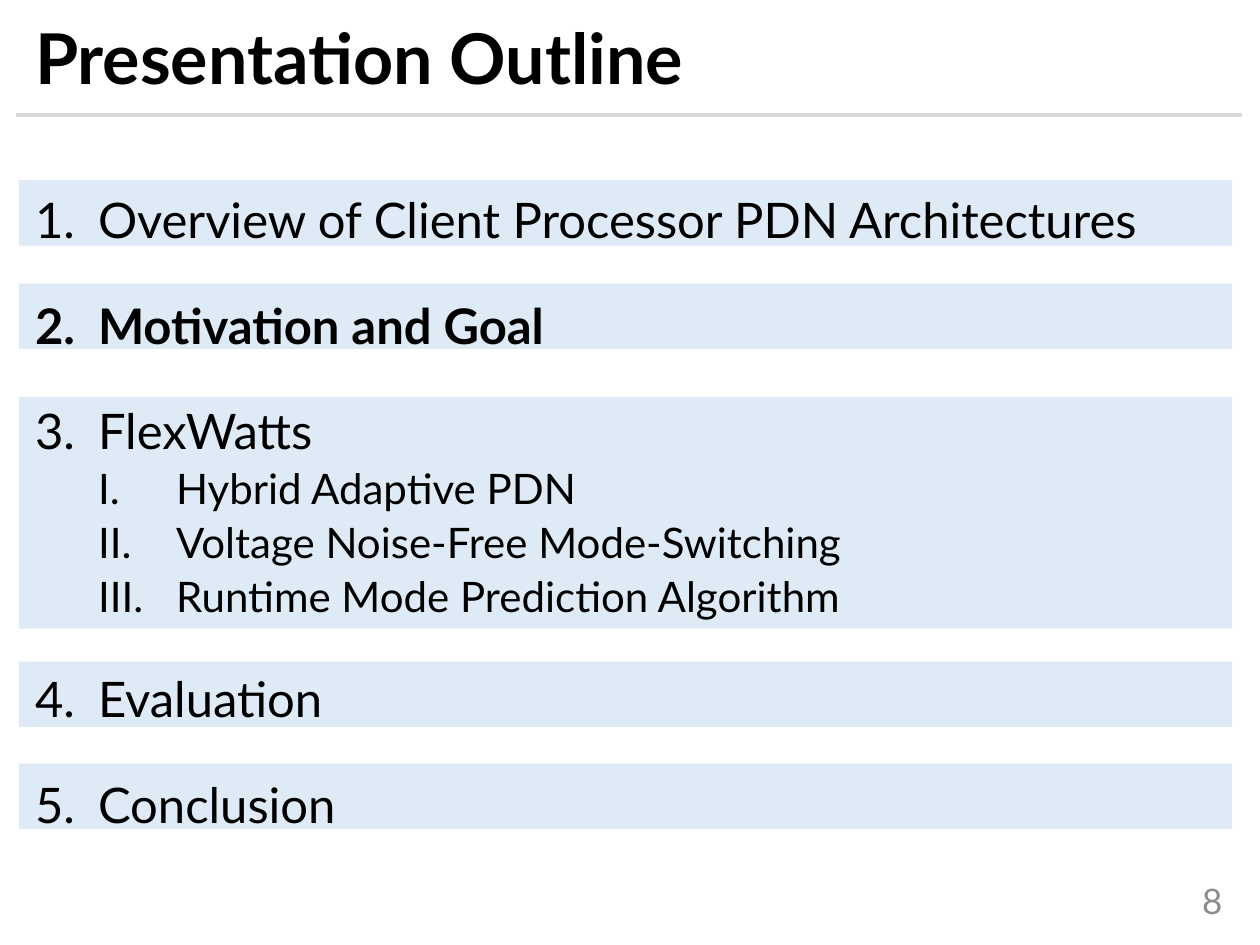
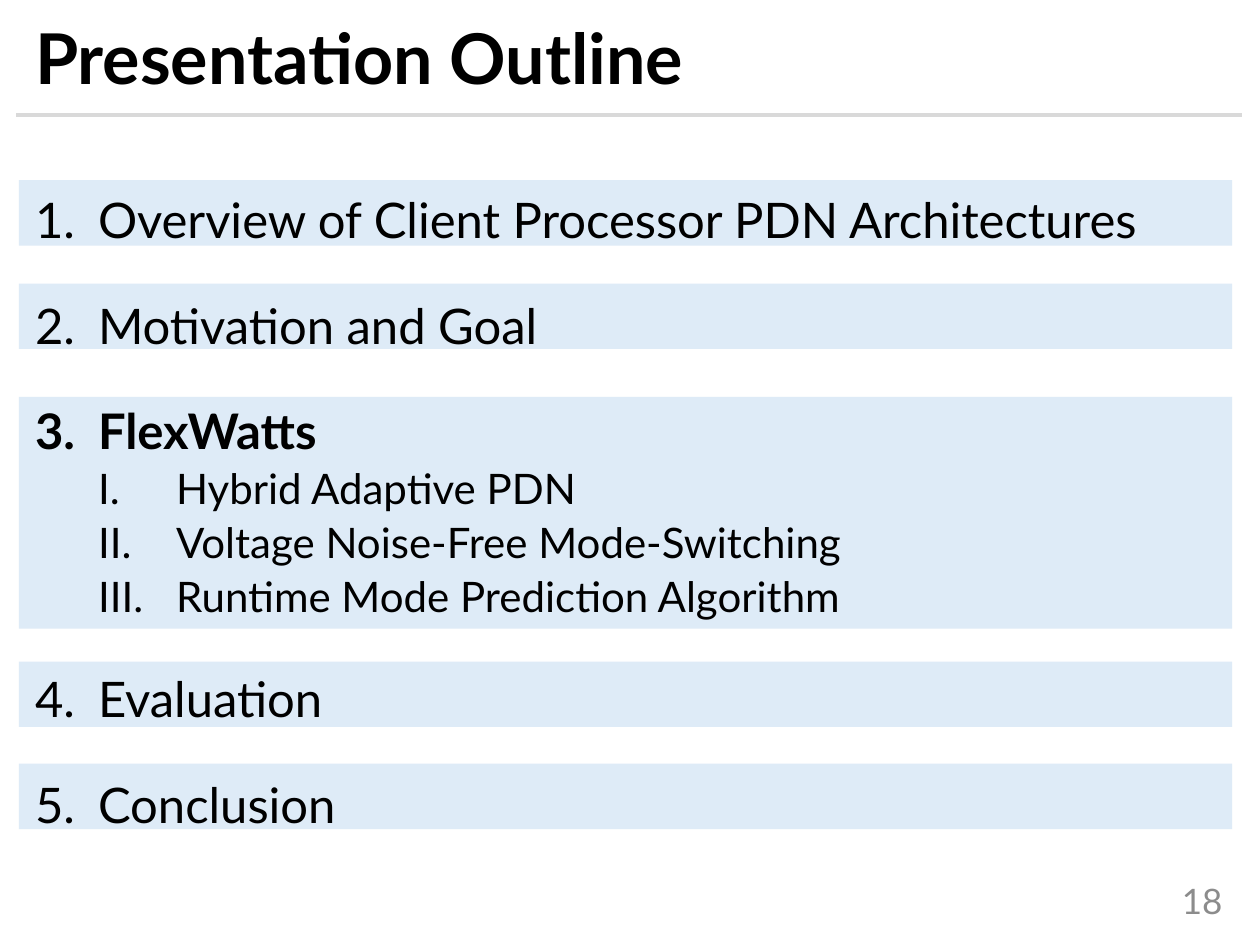
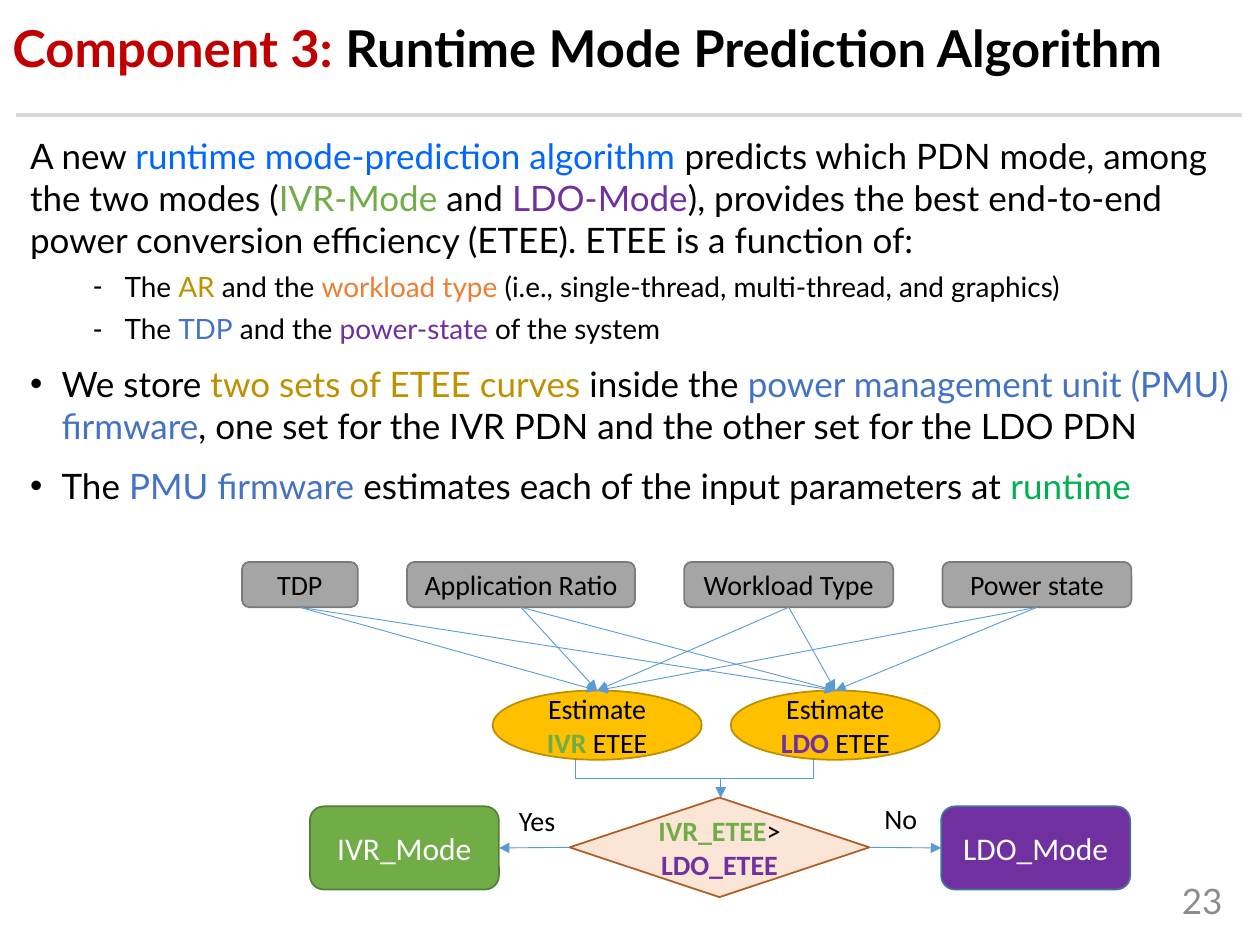
"""Build two outline slides and the runtime mode prediction slide."""
from lxml import etree
from pptx import Presentation
from pptx.dml.color import RGBColor
from pptx.enum.shapes import MSO_CONNECTOR, MSO_SHAPE
from pptx.enum.text import MSO_ANCHOR, PP_ALIGN
from pptx.oxml.ns import qn
from pptx.util import Inches, Pt

STRAIGHT, ELBOW = MSO_CONNECTOR.STRAIGHT, MSO_CONNECTOR.ELBOW
RECTANGLE, ROUNDED = MSO_SHAPE.RECTANGLE, MSO_SHAPE.ROUNDED_RECTANGLE
INPUT_BOX = MSO_SHAPE.FLOWCHART_ALTERNATE_PROCESS
ELLIPSE, DIAMOND = MSO_SHAPE.FLOWCHART_CONNECTOR, MSO_SHAPE.FLOWCHART_DECISION
TOP, MIDDLE = MSO_ANCHOR.TOP, MSO_ANCHOR.MIDDLE
LEFT, CENTER, RIGHT = PP_ALIGN.LEFT, PP_ALIGN.CENTER, PP_ALIGN.RIGHT
SITE_TOP, SITE_LEFT, SITE_BOTTOM, SITE_RIGHT = range(4)

BLACK = RGBColor(0x00, 0x00, 0x00)
WHITE = RGBColor(0xFF, 0xFF, 0xFF)
PAGE_GRAY = RGBColor(0x8C, 0x8C, 0x8C)
RULE_GRAY = RGBColor(0xD9, 0xD9, 0xD9)
BAND_BLUE = RGBColor(0xDE, 0xEB, 0xF7)
RED = RGBColor(0xC0, 0x00, 0x00)
BRIGHT_BLUE = RGBColor(0x00, 0x66, 0xFF)
BLUE = RGBColor(0x44, 0x72, 0xC4)
ARROW_BLUE = RGBColor(0x5B, 0x9B, 0xD5)
EDGE_BLUE = RGBColor(0x43, 0x73, 0x9E)
GREEN = RGBColor(0x70, 0xAD, 0x47)
DARK_GREEN = RGBColor(0x53, 0x80, 0x35)
RUNTIME_GREEN = RGBColor(0x00, 0xB0, 0x50)
PURPLE = RGBColor(0x70, 0x30, 0xA0)
GOLD = RGBColor(0xBF, 0x90, 0x00)
ORANGE = RGBColor(0xED, 0x7D, 0x31)
GRAY = RGBColor(0xA5, 0xA5, 0xA5)
DARK_GRAY = RGBColor(0x7A, 0x7A, 0x7A)
AMBER = RGBColor(0xFF, 0xC0, 0x00)
DARK_AMBER = RGBColor(0xBD, 0x8E, 0x00)
PEACH = RGBColor(0xFB, 0xE5, 0xD6)
BROWN = RGBColor(0xAF, 0x5C, 0x24)
SLIDE_FONT, DIAGRAM_FONT = "Lato", "Calibri"

ARABIC = ("buAutoNum", {"type": "arabicPeriod"})
ROMAN = ("buAutoNum", {"type": "romanUcPeriod"})
DASH = ("buChar", {"char": "-"})
DOT = ("buChar", {"char": "•"})

CHAPTERS = [
    ("Overview of Client Processor PDN Architectures", []),
    ("Motivation and Goal", []),
    ("FlexWatts", ["Hybrid Adaptive PDN", "Voltage Noise-Free Mode-Switching",
                   "Runtime Mode Prediction Algorithm"]),
    ("Evaluation", []),
    ("Conclusion", []),
]
BANDS = [(1.43, 0.52), (2.25, 0.52), (3.15, 1.84), (5.25, 0.52), (6.06, 0.52)]
OUTLINES = [(8, "Motivation and Goal"), (18, "FlexWatts")]

CHAPTER = dict(size=28, bullet=ARABIC, indent=(0.5, 0.5), line_spacing=1.5, before=10)
SECTION = dict(size=24, bullet=ROMAN, indent=(1.12, 0.62), line_spacing=0.9, before=5, level=1)
LEAD = dict(size=20)
FACTOR = dict(size=16, bullet=DASH, indent=(0.75, 0.25), before=5, level=1)
POINT = dict(size=20, bullet=DOT, indent=(0.25, 0.25), before=10)

ALGORITHM_TEXT = [
    (LEAD, ["A new ", ("runtime mode-prediction algorithm ", BRIGHT_BLUE),
            "predicts which PDN mode, among the two modes (", ("IVR-Mode", GREEN), " and ",
            ("LDO-Mode", PURPLE), "), provides the best end-to-end power conversion "
            "efficiency (ETEE). ETEE is a function of:"]),
    (FACTOR, ["The ", ("AR", GOLD), " and the ", ("workload type ", ORANGE),
              "(i.e., single-thread, multi-thread, and graphics)"]),
    (FACTOR, ["The ", ("TDP", BLUE), " and the ", ("power-state", PURPLE), " of the system"]),
    (POINT, ["We store ", ("two sets of ETEE curves ", GOLD), "inside the ",
             ("power management unit (PMU) firmware", BLUE),
             ", one set for the IVR PDN and the other set for the LDO PDN"]),
    (POINT, ["The ", ("PMU firmware ", BLUE), "estimates each of the input parameters at ",
             ("runtime", RUNTIME_GREEN)]),
]
INPUTS = [("TDP", 1.92, 0.92), ("Application Ratio", 3.23, 1.81),
          ("Workload Type", 5.43, 1.66), ("Power state", 7.48, 1.5)]
ESTIMATES = [("IVR ", GREEN, 3.91), ("LDO ", PURPLE, 5.8)]
MODES = [("IVR_Mode", 2.46, GREEN, DARK_GREEN), ("LDO_Mode", 7.47, PURPLE, EDGE_BLUE)]
ANSWERS = [("Yes", (4.02, 6.33, 0.49, 0.37)), ("No", (6.92, 6.31, 0.47, 0.37))]


def add_bullet(paragraph, bullet, indent):
    tag, attributes = bullet
    margin, hanging = indent
    properties = paragraph._p.get_or_add_pPr()
    properties.set("marL", str(Inches(margin)))
    properties.set("indent", str(-Inches(hanging)))
    if tag == "buChar":
        etree.SubElement(properties, qn("a:buFont"), typeface="Arial")
    etree.SubElement(properties, qn("a:" + tag), attributes)


def write_paragraph(paragraph, runs, size, font=SLIDE_FONT, color=BLACK, bold=False, align=LEFT,
                    bullet=None, indent=None, line_spacing=None, before=0, level=0):
    paragraph.alignment = align
    paragraph.level = level
    if line_spacing:
        paragraph.line_spacing = line_spacing
    if before:
        paragraph.space_before = Pt(before)
    if bullet:
        add_bullet(paragraph, bullet, indent)
    paragraph.font.name = font
    paragraph.font.size = Pt(size)
    paragraph.font.bold = bold
    for part in runs:
        text, run_color, *emphasis = (part, color) if isinstance(part, str) else part
        run = paragraph.add_run()
        run.text = text
        run.font.color.rgb = run_color
        if emphasis:
            run.font.bold = emphasis[0]


def write_text(shape, paragraphs, anchor=TOP, wrap=True):
    frame = shape.text_frame
    frame.word_wrap = wrap
    frame.vertical_anchor = anchor
    for index, (style, runs) in enumerate(paragraphs):
        paragraph = frame.add_paragraph() if index else frame.paragraphs[0]
        write_paragraph(paragraph, runs, **(style if index else {**style, "before": 0}))


def add_text(slide, box, paragraphs, **options):
    write_text(slide.shapes.add_textbox(*map(Inches, box)), paragraphs, **options)


def add_box(slide, kind, box, fill, edge=None, runs=(), size=16, color=BLACK):
    shape = slide.shapes.add_shape(kind, *map(Inches, box))
    shape.shadow.inherit = False
    shape.fill.solid()
    shape.fill.fore_color.rgb = fill
    if edge is None:
        shape.line.fill.background()
    else:
        shape.line.color.rgb = edge
        shape.line.width = Pt(1)
    if runs:
        style = dict(size=size, font=DIAGRAM_FONT, color=color, align=CENTER)
        write_text(shape, [(style, runs)], anchor=MIDDLE)
    return shape


def add_line(slide, kind, ends, color, width, arrow=False):
    connector = slide.shapes.add_connector(kind, *map(Inches, ends))
    connector.line.color.rgb = color
    connector.line.width = Pt(width)
    properties = connector._element.spPr
    if arrow:
        etree.SubElement(properties.find(qn("a:ln")), qn("a:tailEnd"), type="triangle")
    etree.SubElement(properties, qn("a:effectLst"))
    return connector


def join(slide, source, source_site, target, target_site):
    arrow = add_line(slide, STRAIGHT, (0, 0, 1, 1), ARROW_BLUE, 0.5, arrow=True)
    arrow.begin_connect(source, source_site)
    arrow.end_connect(target, target_site)


def add_downward_elbow(slide, start_x, start_y, end_x, end_y):
    center_x, center_y = (start_x + end_x) / 2, (start_y + end_y) / 2
    half_drop, half_run = (end_y - start_y) / 2, abs(end_x - start_x) / 2
    rightward = end_x > start_x
    reach = -half_drop if rightward else half_drop
    ends = (center_x - reach, center_y - half_run, center_x + reach, center_y + half_run)
    elbow = add_line(slide, ELBOW, ends, ARROW_BLUE, 0.5, arrow=True)
    degrees = 270 if rightward else 90
    elbow._element.spPr.find(qn("a:xfrm")).set("rot", str(degrees * 60000))


def add_slide(presentation, number, title, title_box, title_size):
    slide = presentation.slides.add_slide(presentation.slide_layouts[6])
    page_style = dict(size=20, color=PAGE_GRAY, align=RIGHT)
    add_text(slide, (8.72, 6.95, 1.08, 0.4), [(page_style, [str(number)])], anchor=MIDDLE)
    add_line(slide, STRAIGHT, (0.13, 0.91, 9.86, 0.91), RULE_GRAY, 2.25)
    add_text(slide, title_box, [(dict(size=title_size, bold=True, line_spacing=0.9), title)])
    return slide


def add_outline(presentation, number, current):
    slide = add_slide(presentation, number, ["Presentation Outline"], (0.18, 0.14, 9.73, 0.66), 40)
    for top, height in BANDS:
        add_box(slide, RECTANGLE, (0.15, top, 9.63, height), BAND_BLUE)
    paragraphs = []
    for chapter, sections in CHAPTERS:
        paragraphs.append(({**CHAPTER, "bold": chapter == current}, [chapter]))
        paragraphs += [(SECTION, [section]) for section in sections]
    add_text(slide, (0.18, 1.22, 9.73, 5.67), paragraphs)


def add_algorithm(presentation):
    title = [("Component 3:", RED), " Runtime Mode Prediction Algorithm"]
    slide = add_slide(presentation, 23, title, (0, 0.14, 10, 0.66), 29)
    add_text(slide, (0.14, 1.02, 9.91, 5.79), ALGORITHM_TEXT)

    inputs = [add_box(slide, INPUT_BOX, (left, 4.46, width, 0.36), GRAY, DARK_GRAY, [name])
              for name, left, width in INPUTS]
    estimates = [add_box(slide, ELLIPSE, (left, 5.48, 1.66, 0.55), AMBER, DARK_AMBER,
                         ["Estimate ", (name, color, True), "ETEE"])
                 for name, color, left in ESTIMATES]
    for source in inputs:
        for estimate in estimates:
            join(slide, source, SITE_BOTTOM, estimate, SITE_TOP)

    decision = add_box(slide, DIAMOND, (4.52, 6.33, 2.38, 0.79), PEACH, BROWN,
                       [("IVR_ETEE", GREEN, True), "> ", ("LDO_ETEE", PURPLE, True)])
    for _, _, left in ESTIMATES:
        add_downward_elbow(slide, left + 0.66, 6.03, 5.72, 6.33)
    ivr_mode, ldo_mode = [
        add_box(slide, ROUNDED, (left, 6.4, 1.5, 0.66), fill, edge, [name], size=18, color=WHITE)
        for name, left, fill, edge in MODES]
    join(slide, decision, SITE_LEFT, ivr_mode, SITE_RIGHT)
    join(slide, decision, SITE_RIGHT, ldo_mode, SITE_LEFT)
    for answer, box in ANSWERS:
        add_text(slide, box, [(dict(size=16, font=DIAGRAM_FONT), [answer])], wrap=False)


def main():
    presentation = Presentation()
    presentation.slide_width, presentation.slide_height = Inches(10), Inches(7.5)
    for number, current in OUTLINES:
        add_outline(presentation, number, current)
    add_algorithm(presentation)
    presentation.save("out.pptx")


if __name__ == "__main__":
    main()
